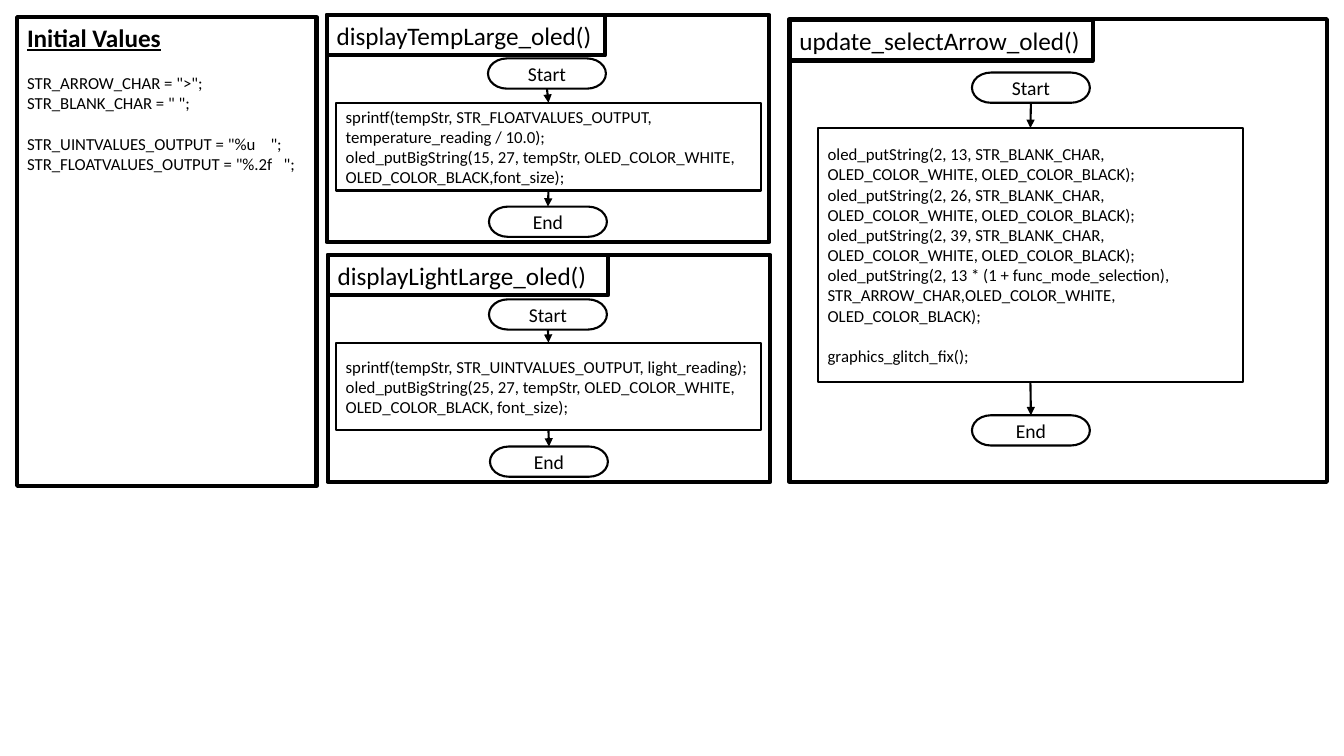
from lxml import etree
from pptx import Presentation
from pptx.dml.color import RGBColor
from pptx.enum.shapes import MSO_CONNECTOR, MSO_SHAPE
from pptx.enum.text import MSO_ANCHOR, MSO_AUTO_SIZE, PP_ALIGN
from pptx.oxml.ns import qn
from pptx.util import Inches, Pt

RECT, PROCESS = MSO_SHAPE.RECTANGLE, MSO_SHAPE.FLOWCHART_PROCESS
TERMINATOR, STRAIGHT = MSO_SHAPE.FLOWCHART_TERMINATOR, MSO_CONNECTOR.STRAIGHT
TOP, MIDDLE = MSO_ANCHOR.TOP, MSO_ANCHOR.MIDDLE
LEFT, CENTER = PP_ALIGN.LEFT, PP_ALIGN.CENTER
FIT, NO_FIT = MSO_AUTO_SIZE.SHAPE_TO_FIT_TEXT, MSO_AUTO_SIZE.NONE

INITIAL_TITLE = "Initial Values"
INITIAL_GROUPS = [
    ['STR_ARROW_CHAR = ">";', 'STR_BLANK_CHAR = " ";'],
    ['STR_UINTVALUES_OUTPUT = "%u    ";', 'STR_FLOATVALUES_OUTPUT = "%.2f   ";'],
]
FLOWS = [
    {
        "name": "displayTempLarge_oled()",
        "frame": (3.24, 0.15, 4.39, 2.25), "tab": (0.15, 2.76),
        "start": (4.84, 0.58), "step": (3.33, 1.02, 0.87), "end": (4.85, 2.05),
        "code": [[
            "sprintf(tempStr, STR_FLOATVALUES_OUTPUT, temperature_reading / 10.0);",
            "oled_putBigString(15, 27, tempStr, OLED_COLOR_WHITE, OLED_COLOR_BLACK,font_size);",
        ]],
    },
    {
        "name": "displayLightLarge_oled()",
        "frame": (3.25, 2.53, 4.39, 2.25), "tab": (2.53, 2.78),
        "start": (4.85, 2.97), "step": (3.33, 3.4, 0.87), "end": (4.86, 4.43),
        "code": [[
            "sprintf(tempStr, STR_UINTVALUES_OUTPUT, light_reading);",
            "oled_putBigString(25, 27, tempStr, OLED_COLOR_WHITE, OLED_COLOR_BLACK, font_size);",
        ]],
    },
    {
        "name": "update_selectArrow_oled()",
        "frame": (7.83, 0.19, 5.33, 4.59), "tab": (0.2, 3.01),
        "start": (9.64, 0.72), "step": (8.11, 1.27, 2.52), "end": (9.64, 4.12),
        "code": [
            [
                "oled_putString(2, 13, STR_BLANK_CHAR, OLED_COLOR_WHITE, OLED_COLOR_BLACK);",
                "oled_putString(2, 26, STR_BLANK_CHAR, OLED_COLOR_WHITE, OLED_COLOR_BLACK);",
                "oled_putString(2, 39, STR_BLANK_CHAR, OLED_COLOR_WHITE, OLED_COLOR_BLACK);",
                "oled_putString(2, 13 * (1 + func_mode_selection), "
                "STR_ARROW_CHAR,OLED_COLOR_WHITE, OLED_COLOR_BLACK);",
            ],
            ["graphics_glitch_fix();"],
        ],
    },
]
THEME = {
    "font": "Calibri",
    "ink": RGBColor(0, 0, 0),
    "paper": RGBColor(255, 255, 255),
    "title": 18, "terminal": 14, "code": 12,
    "thick": 3, "thin": 1.5, "group_gap": 14.6,
}
INITIAL_BOX = (0.17, 0.17, 2.97, 4.65)
TAB_H, STEP_W = 0.4, 4.22
TERMINAL = (1.17, 0.3)


def add_box(slide, kind, box, width):
    s = slide.shapes.add_shape(kind, *map(Inches, box))
    s.shadow.inherit = False
    s.fill.solid()
    s.fill.fore_color.rgb = THEME["paper"]
    s.line.color.rgb = THEME["ink"]
    s.line.width = Pt(width)
    return s


def add_text(s, text, size, align=LEFT, anchor=MIDDLE, wrap=True, fit=NO_FIT,
             bold=False, underline=False, before=0, first=True):
    tf = s.text_frame
    if first:
        tf.word_wrap = wrap
        tf.auto_size = fit
        tf.vertical_anchor = anchor
    p = tf.paragraphs[0] if first else tf.add_paragraph()
    p.alignment = align
    p.space_before = Pt(before)
    r = p.add_run()
    r.text = text
    r.font.name = THEME["font"]
    r.font.size = Pt(size)
    r.font.bold = bold
    r.font.underline = underline
    r.font.color.rgb = THEME["ink"]


def add_code(s, groups, first=True):
    for group in groups:
        for i, line in enumerate(group):
            gap = THEME["group_gap"] if i == 0 and not first else 0
            add_text(s, line, THEME["code"], before=gap, first=first)
            first = False


def add_arrow(slide, source, target):
    c = slide.shapes.add_connector(STRAIGHT, 0, 0, 0, 0)
    c.begin_connect(source, 2)
    c.end_connect(target, 0)
    c.line.color.rgb = THEME["ink"]
    c.line.width = Pt(THEME["thin"])
    etree.SubElement(c.line._get_or_add_ln(), qn("a:tailEnd"), type="triangle")
    etree.SubElement(c._element.spPr, qn("a:effectLst"))


def add_terminal(slide, pos, text):
    s = add_box(slide, TERMINATOR, pos + TERMINAL, THEME["thin"])
    add_text(s, text, THEME["terminal"], align=CENTER)
    return s


def add_flow(slide, flow):
    add_box(slide, PROCESS, flow["frame"], THEME["thick"])
    tab_top, tab_w = flow["tab"]
    tab = add_box(slide, RECT, (flow["frame"][0], tab_top, tab_w, TAB_H), THEME["thick"])
    add_text(tab, flow["name"], THEME["title"], anchor=TOP, wrap=False, fit=FIT)
    start = add_terminal(slide, flow["start"], "Start")
    end = add_terminal(slide, flow["end"], "End")
    x, y, h = flow["step"]
    step = add_box(slide, PROCESS, (x, y, STEP_W, h), THEME["thin"])
    add_code(step, flow["code"])
    add_arrow(slide, start, step)
    add_arrow(slide, step, end)


def main():
    prs = Presentation()
    prs.slide_width, prs.slide_height = Inches(13.33), Inches(7.5)
    slide = prs.slides.add_slide(prs.slide_layouts[6])
    initial = add_box(slide, RECT, INITIAL_BOX, THEME["thick"])
    add_text(initial, INITIAL_TITLE, THEME["title"], anchor=TOP, bold=True, underline=True)
    add_code(initial, INITIAL_GROUPS, first=False)
    for flow in FLOWS:
        add_flow(slide, flow)
    prs.save("out.pptx")


if __name__ == "__main__":
    main()
